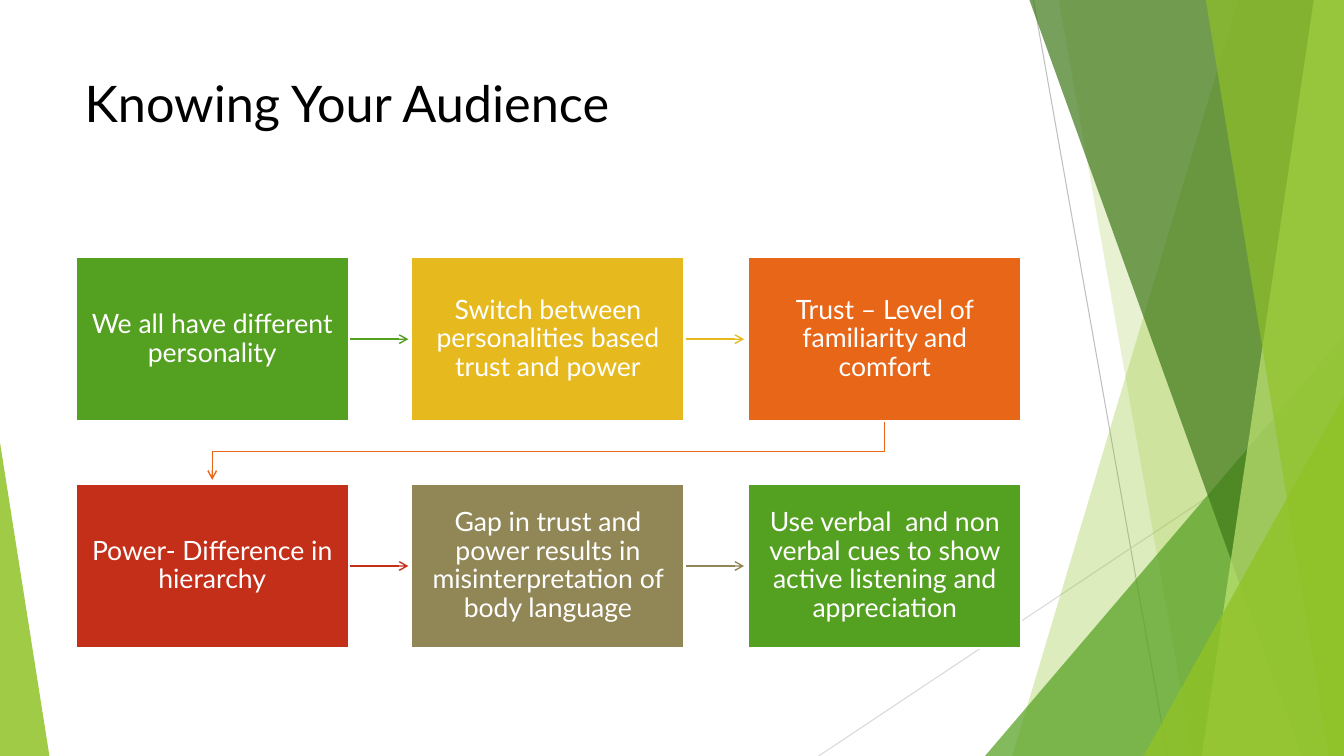
from lxml import etree
from pptx import Presentation, util as u
from pptx.dml.color import RGBColor
from pptx.enum import shapes, text
from pptx.oxml.ns import qn

WIDTH, HEIGHT = 13.33, 7.5
FONT = "Lato"
TITLE = "Knowing Your Audience"
STEPS = [
    ("We all have different personality", "54A021"),
    ("Switch between personalities based trust and power", "E6B91E"),
    ("Trust – Level of familiarity and comfort", "E76618"),
    ("Power- Difference in hierarchy", "C42F1A"),
    ("Gap in trust and power results in misinterpretation of body language", "918655"),
    ("Use verbal\u00a0 and non verbal cues to show active listening and appreciation", "54A021"),
]
COLUMNS, ROWS = (0.75, 4.08, 7.42), (2.55, 4.8)
BOX_WIDTH, BOX_HEIGHT = 2.71, 1.63

# Thin background lines: start, end, colour
RULES = [
    ((10.25, 0), (11.58, HEIGHT), "BFBFBF"),
    ((WIDTH, 4.03), (8.12, HEIGHT), "D9D9D9"),
]
# Bands reach the right edge: left x at top, left x at bottom, colour, opacity
# Triangles stand on the bottom edge: left, top, width, apex, colour, opacity
FACETS = [
    ("band", 12.28, 10.04, "90C226", 30),
    ("band", 10.5, 11.83, "90C226", 20),
    ("triangle", 9.77, 3.33, 3.56, 1, "54A021", 72),
    ("band", 10.21, 12.91, "3F7819", 70),
    ("band", 13.03, 11.92, "C0E474", 70),
    ("band", 11.96, 13.18, "90C226", 65),
    ("triangle", 11.34, 3.93, 1.99, 1, "90C226", 80),
    ("triangle", 0, 4.39, 0.49, 0, "90C226", 85),
]


def color(value):
    """Turn a hex string into a colour."""
    return RGBColor.from_string(value)


def set_fill(shape, value, opacity=100):
    """Fill a shape, without shadow or outline."""
    shape.shadow.inherit = False
    shape.line.fill.background()
    shape.fill.solid()
    shape.fill.fore_color.rgb = color(value)
    if opacity < 100:
        srgb = shape.fill._xPr.find(".//" + qn("a:srgbClr"))
        etree.SubElement(srgb, qn("a:alpha"), val=str(opacity * 1000))


def set_line(shape, value, points):
    """Set line colour and width."""
    shape.line.color.rgb = color(value)
    shape.line.width = u.Pt(points)


def add_path(points, close):
    """Draw a freeform through points given in inches."""
    corners = [(u.Inches(x), u.Inches(y)) for x, y in points]
    builder = slide.shapes.build_freeform(*corners[0], scale=1.0)
    builder.add_line_segments(corners[1:], close=close)
    return builder.convert_to_shape()


def add_line(start, end, value, points):
    """Draw a straight line without shadow."""
    line = slide.shapes.add_connector(
        shapes.MSO_CONNECTOR.STRAIGHT, *(u.Inches(n) for n in start + end))
    etree.SubElement(line._element.spPr, qn("a:effectLst"))
    set_line(line, value, points)
    return line


def add_arrowhead(shape):
    """Put an open arrowhead at the end of a line."""
    etree.SubElement(shape.line._get_or_add_ln(), qn("a:tailEnd"), type="arrow")


def add_facet(kind, *values):
    """Draw one translucent facet of the background."""
    *place, value, opacity = values
    if kind == "band":
        top, bottom = place
        shape = add_path([(top, 0), (WIDTH, 0), (WIDTH, HEIGHT), (bottom, HEIGHT)], True)
    else:
        left, top, width, apex = place
        shape = slide.shapes.add_shape(
            shapes.MSO_SHAPE.ISOSCELES_TRIANGLE, u.Inches(left), u.Inches(top),
            u.Inches(width), u.Inches(HEIGHT - top))
        shape.adjustments[0] = apex
    set_fill(shape, value, opacity)


def set_text(shape, words, size, value):
    """Write wrapped text and return its paragraph."""
    shape.text_frame.word_wrap = True
    paragraph = shape.text_frame.paragraphs[0]
    paragraph.text = words
    paragraph.font.name = FONT
    paragraph.font.size = u.Pt(size)
    paragraph.font.color.rgb = color(value)
    return paragraph


def add_step(left, top, words, value):
    """Draw one step box with its text."""
    box = slide.shapes.add_shape(
        shapes.MSO_SHAPE.RECTANGLE, u.Inches(left), u.Inches(top),
        u.Inches(BOX_WIDTH), u.Inches(BOX_HEIGHT))
    set_fill(box, value)
    set_line(box, "FFFFFF", 1.5)
    frame = box.text_frame
    frame.margin_left = frame.margin_right = u.Inches(0.13)
    frame.margin_top = frame.margin_bottom = u.Inches(0.14)
    frame.vertical_anchor = text.MSO_ANCHOR.MIDDLE
    paragraph = set_text(box, words, 19, "FFFFFF")
    paragraph.alignment = text.PP_ALIGN.CENTER
    paragraph.line_spacing = 0.9


def add_row_arrow(left, top, value):
    """Point from a box to its right neighbour."""
    start, middle = left + BOX_WIDTH, top + BOX_HEIGHT / 2
    add_arrowhead(add_line((start, middle), (start + 0.59, middle), value, 1))


def add_turn_arrow(value):
    """Point from the end of the first row to the start of the second."""
    start, end = (left + BOX_WIDTH / 2 for left in (COLUMNS[-1], COLUMNS[0]))
    bottom, tip = ROWS[0] + BOX_HEIGHT, ROWS[1] - 0.04
    bend = (bottom + ROWS[1]) / 2 - 0.01
    arrow = add_path([(start, bottom), (start, bend), (end, bend), (end, tip)], False)
    arrow.shadow.inherit = False
    arrow.fill.background()
    set_line(arrow, value, 1)
    add_arrowhead(arrow)


presentation = Presentation()
presentation.slide_width, presentation.slide_height = u.Inches(WIDTH), u.Inches(HEIGHT)
slide = presentation.slides.add_slide(presentation.slide_layouts[6])

for start, end, value in RULES:
    add_line(start, end, value, 0.75)
for facet in FACETS:
    add_facet(*facet)

title = slide.shapes.add_textbox(u.Inches(0.74), u.Inches(0.67), u.Inches(9.4), u.Inches(1.44))
set_text(title, TITLE, 36, "000000")

for index, (words, value) in enumerate(STEPS):
    row, column = divmod(index, len(COLUMNS))
    left, top = COLUMNS[column], ROWS[row]
    if column < len(COLUMNS) - 1:
        add_row_arrow(left, top, value)
    elif row < len(ROWS) - 1:
        add_turn_arrow(value)
    add_step(left, top, words, value)

presentation.save("out.pptx")
